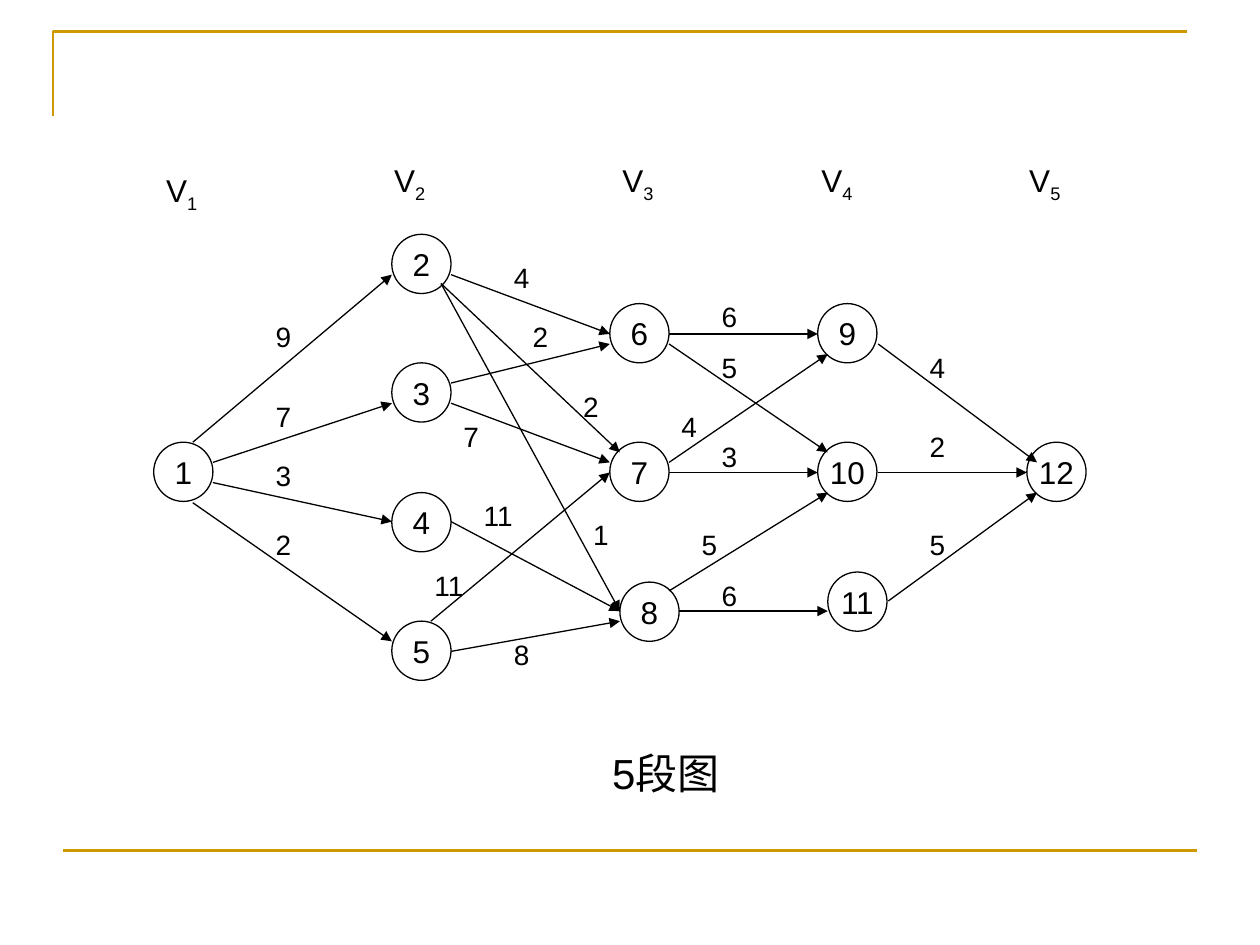
from pptx import Presentation
from pptx import util as u
from pptx.dml import color
from pptx.enum import shapes, text
from pptx.oxml import ns
from lxml import etree

FONT = "Arial"
BLACK = "000000"
GOLD = "CC9900"
NODE_SIZE = 0.47

# Each column of nodes: (left, top) by node number
NODES = {
    1: (1.22, 3.51),
    2: (3.11, 1.86), 3: (3.11, 2.88), 4: (3.11, 3.91), 5: (3.11, 4.93),
    6: (4.84, 2.41), 7: (4.84, 3.51), 8: (4.92, 4.62),
    9: (6.49, 2.41), 10: (6.49, 3.51), 11: (6.57, 4.54),
    12: (8.15, 3.51),
}

# Each edge: start point, end point, weight, top left of the weight label
EDGES = [
    ((1.53, 3.51), (3.11, 2.18), 9, (2.09, 2.49)),
    ((1.69, 3.67), (3.11, 3.2), 7, (2.09, 3.12)),
    ((1.69, 3.83), (3.11, 4.14), 3, (2.09, 3.59)),
    ((1.53, 3.99), (3.11, 5.09), 2, (2.09, 4.14)),
    ((3.5, 2.25), (4.92, 4.85), 1, (4.61, 4.06)),
    ((3.5, 2.25), (4.92, 3.59), 2, (4.53, 3.04)),
    ((3.58, 2.18), (4.84, 2.65), 4, (3.98, 2.02)),
    ((3.58, 3.04), (4.84, 2.73), 2, (4.13, 2.49)),
    ((3.58, 3.2), (4.84, 3.67), 7, (3.58, 3.28)),
    ((3.58, 4.14), (4.92, 4.85), 11, (3.74, 3.91)),
    ((3.42, 4.93), (4.84, 3.75), 11, (3.35, 4.46)),
    ((3.58, 5.17), (4.92, 4.93), 8, (3.98, 5.01)),
    ((5.31, 2.65), (6.49, 2.65), 6, (5.63, 2.33)),
    ((5.31, 2.73), (6.57, 3.59), 5, (5.63, 2.73)),
    ((5.31, 3.67), (6.57, 2.81), 4, (5.31, 3.2)),
    ((5.31, 3.75), (6.49, 3.75), 3, (5.63, 3.44)),
    ((5.31, 4.69), (6.57, 3.91), 5, (5.47, 4.14)),
    ((5.39, 4.85), (6.57, 4.85), 6, (5.63, 4.54)),
    ((6.97, 2.73), (8.23, 3.67), 4, (7.28, 2.73)),
    ((6.97, 3.75), (8.15, 3.75), 2, (7.28, 3.36)),
    ((7.05, 4.77), (8.23, 3.91), 5, (7.28, 4.14)),
]

# Top left of the stage headings V1 to V5
STAGES = [(1.22, 1.31), (3.03, 1.23), (4.84, 1.23), (6.42, 1.23), (8.07, 1.23)]


def rgb(value):
    return color.RGBColor.from_string(value)


def write(paragraph, content, size=18, colour=BLACK, subscript=False):
    run = paragraph.add_run()
    run.text = content
    run.font.name = FONT
    run.font.size = u.Pt(size)
    run.font.color.rgb = rgb(colour)
    if subscript:
        run.font._element.set("baseline", "-25000")


class GraphSlide:
    """Draws the elements of a staged graph on one slide."""

    def __init__(self, slide):
        self.slide = slide

    def style_line(self, shape, colour, width):
        shape.line.color.rgb = rgb(colour)
        shape.line.width = u.Pt(width)

    def outline(self, points, colour, width):
        start, *rest = [(u.Inches(x), u.Inches(y)) for x, y in points]
        builder = self.slide.shapes.build_freeform(*start)
        builder.add_line_segments(rest, close=False)
        shape = builder.convert_to_shape()
        shape.shadow.inherit = False
        shape.fill.background()
        self.style_line(shape, colour, width)

    def line(self, start, end, colour=BLACK, width=0.75, arrow=False):
        connector = self.slide.shapes.add_connector(
            shapes.MSO_CONNECTOR.STRAIGHT, *(u.Inches(v) for v in start + end))
        self.style_line(connector, colour, width)
        if arrow:
            etree.SubElement(connector.line._get_or_add_ln(),
                             ns.qn("a:tailEnd"), type="triangle")
        etree.SubElement(connector._element.spPr, ns.qn("a:effectLst"))

    def node(self, number, left, top):
        shape = self.slide.shapes.add_shape(
            shapes.MSO_SHAPE.OVAL, u.Inches(left), u.Inches(top),
            u.Inches(NODE_SIZE), u.Inches(NODE_SIZE))
        shape.shadow.inherit = False
        shape.fill.background()
        self.style_line(shape, BLACK, 0.75)
        frame = shape.text_frame
        frame.word_wrap = False
        frame.vertical_anchor = text.MSO_ANCHOR.MIDDLE
        frame.paragraphs[0].alignment = text.PP_ALIGN.CENTER
        write(frame.paragraphs[0], str(number))

    def label(self, content, left, top, width, height, size, subscript=""):
        box = self.slide.shapes.add_textbox(
            u.Inches(left), u.Inches(top), u.Inches(width), u.Inches(height))
        frame = box.text_frame
        frame.word_wrap = True
        write(frame.paragraphs[0], content, size=size)
        if subscript:
            write(frame.paragraphs[0], subscript, size=size, subscript=True)


def main():
    presentation = Presentation()
    presentation.slide_width = u.Inches(10)
    presentation.slide_height = u.Inches(7.5)
    blank = presentation.slide_layouts[6]
    graph = GraphSlide(presentation.slides.add_slide(blank))

    # Frame lines
    graph.outline([(0.42, 0.92), (0.42, 0.25), (9.42, 0.25)], GOLD, 1.5)
    graph.line((0.5, 6.75), (9.5, 6.75), GOLD, 1.5)

    # Nodes
    for number, place in NODES.items():
        graph.node(number, *place)

    # Edges, then their weights on top
    for start, end, _, _ in EDGES:
        graph.line(start, end, arrow=True)
    for _, _, weight, place in EDGES:
        graph.label(str(weight), *place, 0.47, 0.37, size=16)

    # Stage headings and caption
    for number, place in enumerate(STAGES, start=1):
        graph.label("V", *place, 0.55, 0.44, size=18, subscript=str(number))
    graph.label("5段图", 4.76, 5.88, 1.49, 0.5, size=24)

    presentation.save("out.pptx")


if __name__ == "__main__":
    main()
